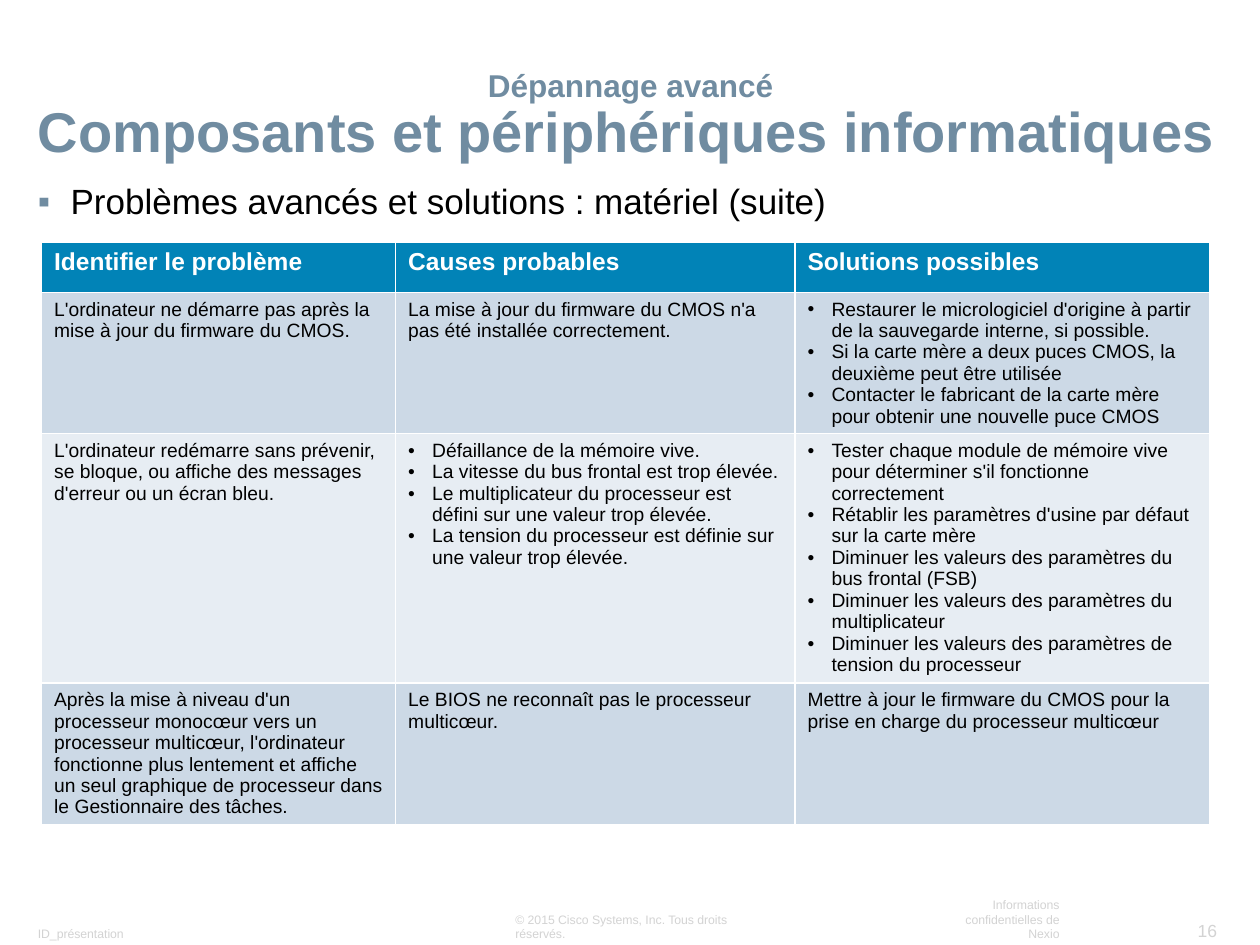
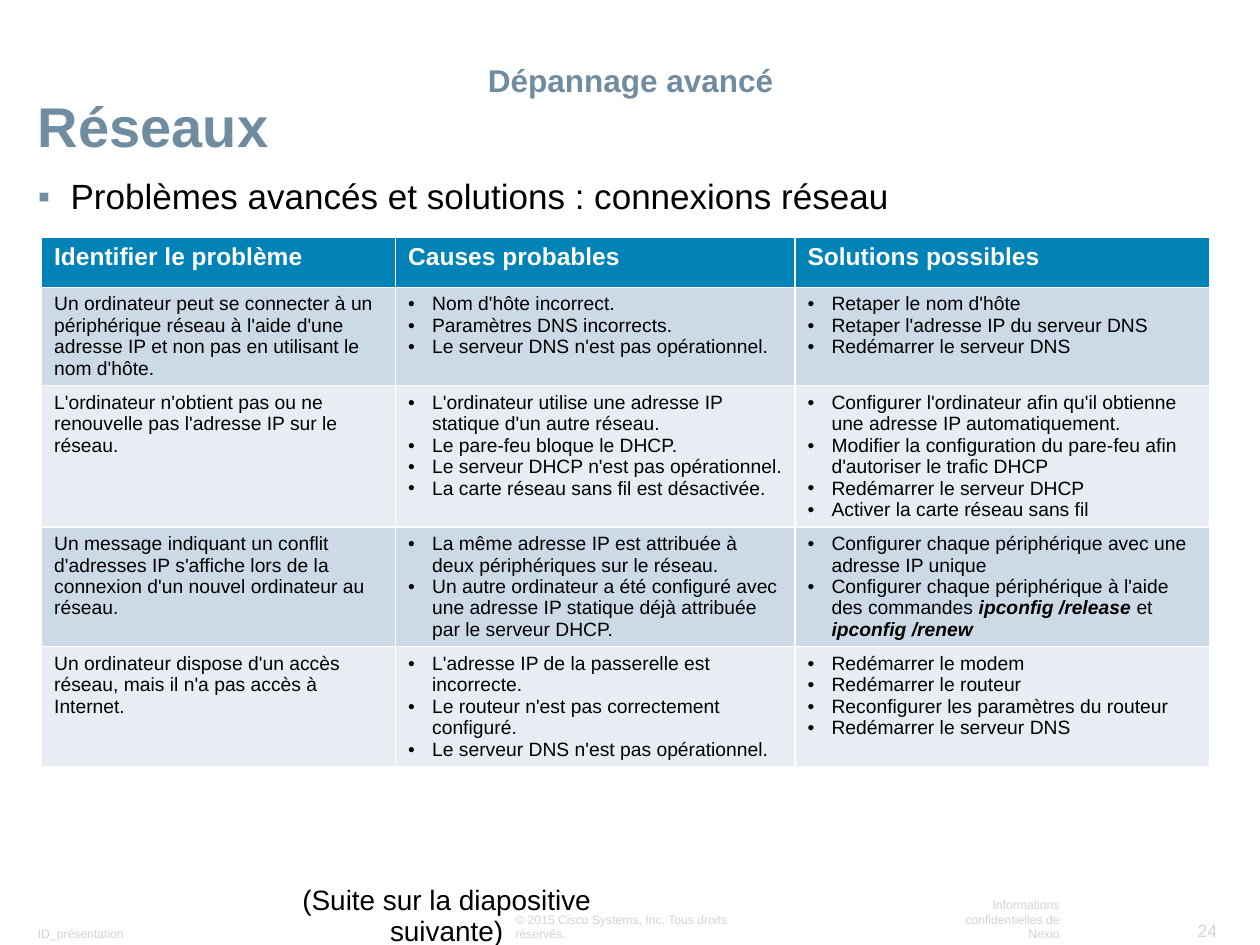
from lxml.etree import SubElement
from pptx import Presentation
from pptx.dml.color import RGBColor
from pptx.enum.text import MSO_ANCHOR, MSO_AUTO_SIZE, PP_ALIGN
from pptx.oxml.ns import qn
from pptx.util import Inches, Pt

FONT = "Arial"
COLORS = {
    "title": "708CA1",
    "text": "000000",
    "footer": "D3D3D3",
    "header": "0183B7",
    "header_text": "FFFFFF",
    "odd_row": "CCD9E6",
    "even_row": "E7EDF3",
}
TITLE_ONLY = 5
COLUMN_WIDTHS = [2.81, 3.17, 3.29]
HEADER_HEIGHT = 0.4
HEADERS = ["Identifier le problème", "Causes probables", "Solutions possibles"]
SUPERTITLE = "Dépannage avancé"

HARDWARE_ROWS = [
    (1.12, [
        "L'ordinateur ne démarre pas après la mise à jour du firmware du CMOS.",
        "La mise à jour du firmware du CMOS n'a pas été installée correctement.",
        ["Restaurer le micrologiciel d'origine à partir de la sauvegarde interne, si possible.",
         "Si la carte mère a deux puces CMOS, la deuxième peut être utilisée",
         "Contacter le fabricant de la carte mère pour obtenir une nouvelle puce CMOS"],
    ]),
    (1.98, [
        "L'ordinateur redémarre sans prévenir, se bloque, ou affiche des messages d'erreur "
        "ou un écran bleu.",
        ["Défaillance de la mémoire vive.",
         "La vitesse du bus frontal est trop élevée.",
         "Le multiplicateur du processeur est défini sur une valeur trop élevée.",
         "La tension du processeur est définie sur une valeur trop élevée."],
        ["Tester chaque module de mémoire vive pour déterminer s'il fonctionne correctement",
         "Rétablir les paramètres d'usine par défaut sur la carte mère",
         "Diminuer les valeurs des paramètres du bus frontal (FSB)",
         "Diminuer les valeurs des paramètres du multiplicateur",
         "Diminuer les valeurs des paramètres de tension du processeur"],
    ]),
    (1.12, [
        "Après la mise à niveau d'un processeur monocœur vers un processeur multicœur, "
        "l'ordinateur fonctionne plus lentement et affiche un seul graphique de processeur "
        "dans le Gestionnaire des tâches.",
        "Le BIOS ne reconnaît pas le processeur multicœur.",
        "Mettre à jour le firmware du CMOS pour la prise en charge du processeur multicœur",
    ]),
]

NETWORK_ROWS = [
    (0.78, [
        "Un ordinateur peut se connecter à un périphérique réseau à l'aide d'une adresse IP "
        "et non pas en utilisant le nom d'hôte.",
        ["Nom d'hôte incorrect.",
         "Paramètres DNS incorrects.",
         "Le serveur DNS n'est pas opérationnel."],
        ["Retaper le nom d'hôte",
         "Retaper l'adresse IP du serveur DNS",
         "Redémarrer le serveur DNS"],
    ]),
    (1.12, [
        "L'ordinateur n'obtient pas ou ne renouvelle pas l'adresse IP sur le réseau.",
        ["L'ordinateur utilise une adresse IP statique d'un autre réseau.",
         "Le pare-feu bloque le DHCP.",
         "Le serveur DHCP n'est pas opérationnel.",
         "La carte réseau sans fil est désactivée."],
        ["Configurer l'ordinateur afin qu'il obtienne une adresse IP automatiquement.",
         "Modifier la configuration du pare-feu afin d'autoriser le trafic DHCP",
         "Redémarrer le serveur DHCP",
         "Activer la carte réseau sans fil"],
    ]),
    (0.95, [
        "Un message indiquant un conflit d'adresses IP s'affiche lors de la connexion d'un "
        "nouvel ordinateur au réseau.",
        ["La même adresse IP est attribuée à deux périphériques sur le réseau.",
         "Un autre ordinateur a été configuré avec une adresse IP statique déjà attribuée "
         "par le serveur DHCP."],
        ["Configurer chaque périphérique avec une adresse IP unique",
         "Configurer chaque périphérique à l'aide des commandes *ipconfig /release *et "
         "*ipconfig /renew*"],
    ]),
    (0.95, [
        "Un ordinateur dispose d'un accès réseau, mais il n'a pas accès à Internet.",
        ["L'adresse IP de la passerelle est incorrecte.",
         "Le routeur n'est pas correctement configuré.",
         "Le serveur DNS n'est pas opérationnel."],
        ["Redémarrer le modem",
         "Redémarrer le routeur",
         "Reconfigurer les paramètres du routeur",
         "Redémarrer le serveur DNS"],
    ]),
]


def style_font(font, size, color, bold=False):
    font.name = FONT
    font.size = Pt(size)
    font.bold = bold
    font.color.rgb = RGBColor.from_string(COLORS[color])


def add_bullet(paragraph, character, indent, color):
    properties = paragraph._p.get_or_add_pPr()
    properties.set("marL", str(Inches(indent)))
    properties.set("indent", str(-Inches(indent)))
    bullet_color = SubElement(properties, qn("a:buClr"))
    SubElement(bullet_color, qn("a:srgbClr"), val=COLORS[color])
    SubElement(properties, qn("a:buFont"), typeface=FONT)
    SubElement(properties, qn("a:buChar"), char=character)


def set_frame(text_frame, anchor):
    text_frame.word_wrap = True
    text_frame.auto_size = MSO_AUTO_SIZE.NONE
    text_frame.vertical_anchor = anchor
    text_frame.margin_left = text_frame.margin_right = Inches(0.09)
    text_frame.margin_top = text_frame.margin_bottom = Inches(0.04)


def add_text(slide, text, box, size, color, align=PP_ALIGN.LEFT, anchor=MSO_ANCHOR.TOP):
    shape = slide.shapes.add_textbox(*map(Inches, box))
    set_frame(shape.text_frame, anchor)
    paragraph = shape.text_frame.paragraphs[0]
    paragraph.text = text
    paragraph.alignment = align
    style_font(paragraph.runs[0].font, size, color)
    return paragraph


def add_footers(slide, number):
    footers = [
        ("ID_présentation", (0.21, 7.3, 1.05, 0.21), 7, PP_ALIGN.LEFT),
        (number, (9.3, 7.25, 0.45, 0.26), 10, PP_ALIGN.RIGHT),
        ("© 2015 Cisco Systems, Inc. Tous droits réservés.", (4, 7.3, 2.21, 0.21), 7,
         PP_ALIGN.LEFT),
        ("Informations confidentielles de Nexio", (7.54, 7.3, 0.96, 0.21), 7, PP_ALIGN.RIGHT),
    ]
    for text, box, size, align in footers:
        add_text(slide, text, box, size, "footer", align, MSO_ANCHOR.BOTTOM)


def set_title(slide, text, top):
    title = slide.shapes.title
    title.left, title.top, title.width, title.height = map(Inches, (0.21, top, 9.59, 0.92))
    set_frame(title.text_frame, MSO_ANCHOR.BOTTOM)
    title.text_frame.text = f"{SUPERTITLE}\n{text}"
    lines = [(18, PP_ALIGN.CENTER), (32, PP_ALIGN.LEFT)]
    for paragraph, (size, align) in zip(title.text_frame.paragraphs, lines):
        paragraph.alignment = align
        paragraph.line_spacing = 0.9
        style_font(paragraph.runs[0].font, size, "title", bold=True)


def add_subject(slide, text, top):
    paragraph = add_text(slide, text, (0.21, top, 9.65, 0.45), 20, "text")
    add_bullet(paragraph, "▪", 0.26, "title")
    paragraph.line_spacing = 0.95


def fill_cell(cell, content, fill, size, color, bold=False):
    cell.fill.solid()
    cell.fill.fore_color.rgb = RGBColor.from_string(COLORS[fill])
    bulleted = isinstance(content, list)
    for index, text in enumerate(content if bulleted else [content]):
        text_frame = cell.text_frame
        paragraph = text_frame.add_paragraph() if index else text_frame.paragraphs[0]
        paragraph.alignment = PP_ALIGN.LEFT
        if bulleted:
            add_bullet(paragraph, "•", 0.19, "text")
        for part, words in enumerate(text.split("*")):
            if words:
                command = part % 2 == 1
                run = paragraph.add_run()
                run.text = words
                style_font(run.font, size, color, bold or command)
                run.font.italic = command


def add_problem_table(slide, rows, top):
    heights = [HEADER_HEIGHT] + [height for height, _ in rows]
    frame = slide.shapes.add_table(
        len(heights), len(COLUMN_WIDTHS), Inches(0.33), Inches(top),
        Inches(sum(COLUMN_WIDTHS)), Inches(sum(heights)))
    table = frame.table
    for column, width in zip(table.columns, COLUMN_WIDTHS):
        column.width = Inches(width)
    for row, height in zip(table.rows, heights):
        row.height = Inches(height)
    for column, header in enumerate(HEADERS):
        fill_cell(table.cell(0, column), header, "header", 14, "header_text", bold=True)
    for index, (_, contents) in enumerate(rows, start=1):
        fill = "odd_row" if index % 2 else "even_row"
        for column, content in enumerate(contents):
            fill_cell(table.cell(index, column), content, fill, 11, "text")


def add_problem_slide(presentation, number, title, subject, rows, top):
    slide = presentation.slides.add_slide(presentation.slide_layouts[TITLE_ONLY])
    add_footers(slide, number)
    set_title(slide, title, top)
    add_subject(slide, subject, top + 0.98)
    add_problem_table(slide, rows, top + 1.49)
    return slide


def main():
    presentation = Presentation()
    presentation.slide_width = Inches(10)
    presentation.slide_height = Inches(7.5)
    add_problem_slide(
        presentation, "16", "Composants et périphériques informatiques",
        "Problèmes avancés et solutions : matériel (suite)", HARDWARE_ROWS, 0.43)
    network_slide = add_problem_slide(
        presentation, "24", "Réseaux",
        "Problèmes avancés et solutions : connexions réseau", NETWORK_ROWS, 0.39)
    continuation = add_text(
        network_slide, "(Suite sur la diapositive suivante)", (2.2, 6.98, 2.69, 0.34), 16,
        "text", PP_ALIGN.CENTER)
    continuation.line_spacing = 0.95
    presentation.save("out.pptx")


if __name__ == "__main__":
    main()
